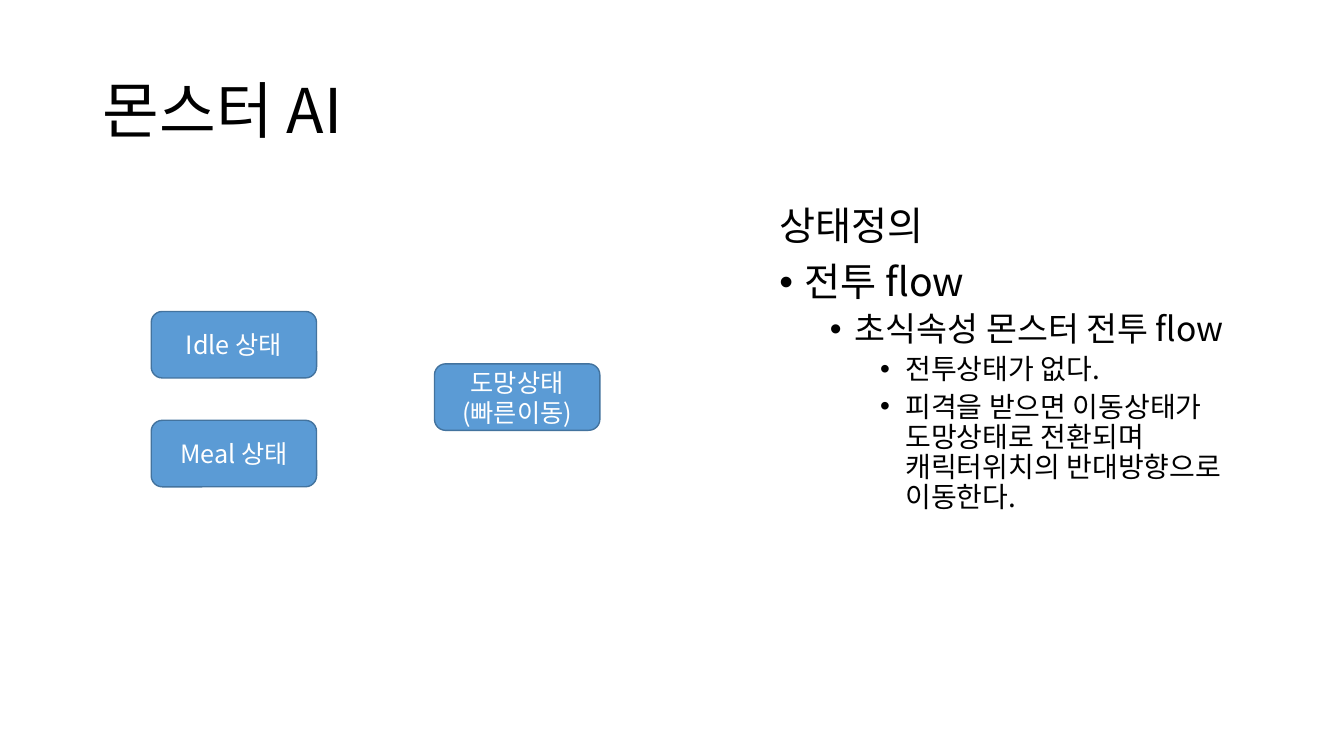
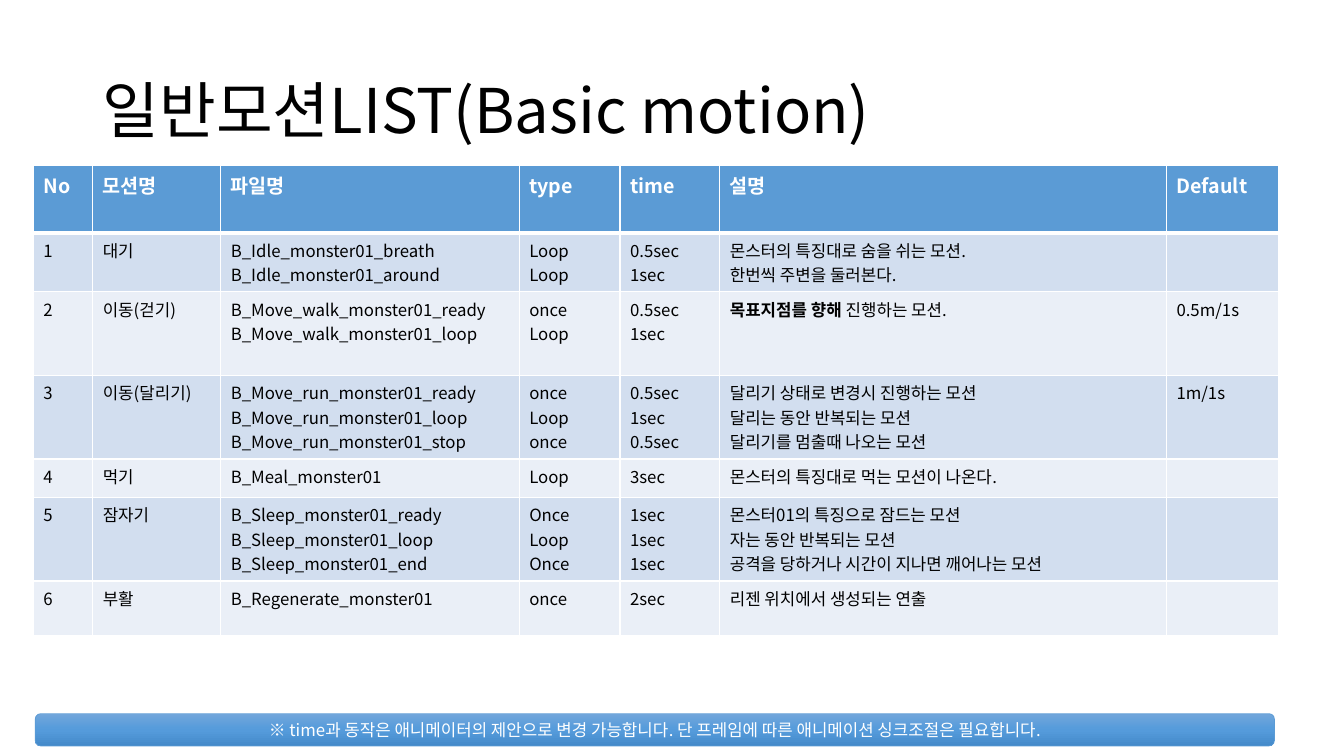
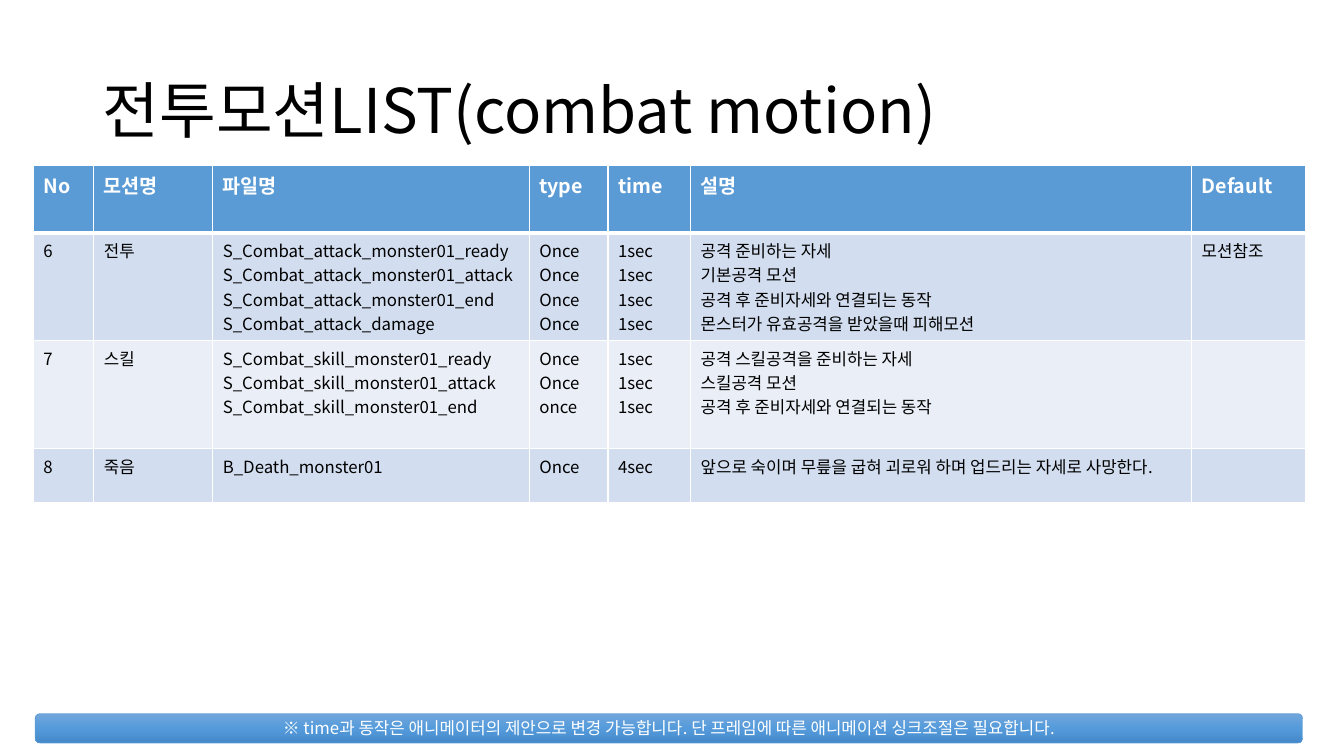
"""Build three slides on monster AI states and motion lists."""
from copy import deepcopy
from dataclasses import dataclass

from lxml import etree
from pptx import Presentation
from pptx.dml.color import RGBColor
from pptx.enum.shapes import MSO_SHAPE
from pptx.enum.text import MSO_ANCHOR, MSO_AUTO_SIZE, PP_ALIGN
from pptx.oxml.ns import qn
from pptx.util import Inches, Pt

LEFT, CENTER = PP_ALIGN.LEFT, PP_ALIGN.CENTER
TOP, MIDDLE = MSO_ANCHOR.TOP, MSO_ANCHOR.MIDDLE
NO_FIT = MSO_AUTO_SIZE.NONE
ROUNDED = MSO_SHAPE.ROUNDED_RECTANGLE

FONT = "Noto Sans CJK KR"
COLORS = {
    "text": "000000", "white": "FFFFFF", "blue": "5B9BD5", "edge": "43739E",
    "odd": "D2DEEF", "even": "EAEFF7",
}
GRADIENT = ((0, "71A6DB"), (0.5, "559BDB"), (1, "448ACA"))
CONTENT_LAYOUT, TITLE_LAYOUT = 1, 5
STATE_W, STATE_H = 1.64, 0.66
HEADER = ("No", "모션명", "파일명", "type", "time", "설명", "Default")
NOTICE = ("※ time과 동작은 애니메이터의 제안으로 변경 가능합니다. "
          "단 프레임에 따른 애니메이션 싱크조절은 필요합니다.")


@dataclass(frozen=True)
class State:
    text: str
    left: float
    top: float


@dataclass(frozen=True)
class Item:
    text: str
    level: int
    size: int
    before: int
    bullet: bool = True


@dataclass(frozen=True)
class MotionList:
    title: str
    widths: tuple
    heights: tuple
    rows: tuple
    notice_w: float
    notice_h: float


STATES = (
    State("Idle 상태", 1.5, 3.09),
    State("Meal 상태", 1.5, 4.17),
    State("도망상태\n(빠른이동)", 4.31, 3.61),
)
ITEMS = (
    Item("상태정의", 0, 28, 10, bullet=False),
    Item("전투 flow", 0, 28, 10),
    Item("초식속성 몬스터 전투 flow", 1, 24, 5),
    Item("전투상태가 없다.", 2, 20, 5),
    Item("피격을 받으면 이동상태가 도망상태로 전환되며 "
         "캐릭터위치의 반대방향으로 이동한다.", 2, 20, 5),
)
MOTION_LISTS = (
    MotionList(
        "일반모션LIST(Basic motion)",
        (0.59, 1.27, 2.96, 1, 0.99, 4.43, 1.11),
        (0.67, 0.58, 0.83, 0.83, 0.38, 0.83, 0.54),
        (
            ("1", "대기", "B_Idle_monster01_breath\nB_Idle_monster01_around",
             "Loop\nLoop", "0.5sec\n1sec",
             "몬스터의 특징대로 숨을 쉬는 모션.\n한번씩 주변을 둘러본다.", ""),
            ("2", "이동(걷기)",
             "B_Move_walk_monster01_ready\nB_Move_walk_monster01_loop",
             "once\nLoop", "0.5sec\n1sec",
             "**목표지점를 향해 **진행하는 모션.", "0.5m/1s"),
            ("3", "이동(달리기)",
             "B_Move_run_monster01_ready\nB_Move_run_monster01_loop\n"
             "B_Move_run_monster01_stop",
             "once\nLoop\nonce", "0.5sec\n1sec\n0.5sec",
             "달리기 상태로 변경시 진행하는 모션\n달리는 동안 반복되는 모션\n"
             "달리기를 멈출때 나오는 모션", "1m/1s"),
            ("4", "먹기", "B_Meal_monster01", "Loop", "3sec",
             "몬스터의 특징대로 먹는 모션이 나온다.", ""),
            ("5", "잠자기",
             "B_Sleep_monster01_ready\nB_Sleep_monster01_loop\n"
             "B_Sleep_monster01_end",
             "Once\nLoop\nOnce", "1sec\n1sec\n1sec",
             "몬스터01의 특징으로 잠드는 모션\n자는 동안 반복되는 모션\n"
             "공격을 당하거나 시간이 지나면 깨어나는 모션", ""),
            ("6", "부활", "B_Regenerate_monster01", "once", "2sec",
             "리젠 위치에서 생성되는 연출", ""),
        ),
        12.29, 0.32,
    ),
    MotionList(
        "전투모션LIST(combat motion)",
        (0.6, 1.18, 3.14, 0.78, 0.82, 4.97, 1.13),
        (0.67, 1.07, 1.07, 0.54),
        (
            ("6", "전투",
             "S_Combat_attack_monster01_ready\nS_Combat_attack_monster01_attack\n"
             "S_Combat_attack_monster01_end\nS_Combat_attack_damage",
             "Once\nOnce\nOnce\nOnce", "1sec\n1sec\n1sec\n1sec",
             "공격 준비하는 자세\n기본공격 모션\n공격 후 준비자세와 연결되는 동작\n"
             "몬스터가 유효공격을 받았을때 피해모션", "모션참조"),
            ("7", "스킬",
             "S_Combat_skill_monster01_ready\nS_Combat_skill_monster01_attack\n"
             "S_Combat_skill_monster01_end",
             "Once\nOnce\nonce", "1sec\n1sec\n1sec",
             "공격 스킬공격을 준비하는 자세\n스킬공격 모션\n"
             "공격 후 준비자세와 연결되는 동작", ""),
            ("8", "죽음", "B_Death_monster01", "Once", "4sec",
             "앞으로 숙이며 무릎을 굽혀 괴로워 하며 업드리는 자세로 사망한다.", ""),
        ),
        12.57, 0.29,
    ),
)


def rgb(name: str) -> RGBColor:
    return RGBColor.from_string(COLORS[name])


def write(tf, text: str, *, size: int, color: str = "text", bold: bool = False,
          align=LEFT, spacing: float = 1.0, before: int = 0, level: int = 0) -> list:
    paragraphs = []
    for line in text.split("\n"):
        p = tf.add_paragraph() if tf.text else tf.paragraphs[0]
        p.alignment, p.line_spacing, p.level = align, spacing, level
        p.space_before = Pt(before)
        for i, part in enumerate(line.split("**")):
            if part:
                r = p.add_run()
                r.text = part
                r.font.size, r.font.name = Pt(size), FONT
                r.font.bold = bold or i % 2 == 1
                r.font.color.rgb = rgb(color)
                ea = etree.SubElement(r.font._element, qn("a:ea"))
                ea.set("typeface", FONT)
        if not line:
            etree.SubElement(p._p, qn("a:endParaRPr")).set("sz", str(size * 100))
        paragraphs.append(p)
    return paragraphs


def place(sp, left: float, top: float, width: float, height: float, anchor) -> None:
    sp.left, sp.top = Inches(left), Inches(top)
    sp.width, sp.height = Inches(width), Inches(height)
    tf = sp.text_frame
    tf.word_wrap, tf.auto_size, tf.vertical_anchor = True, NO_FIT, anchor


def add_slide(prs, layout: int, title: str):
    s = prs.slides.add_slide(prs.slide_layouts[layout])
    place(s.shapes.title, 0.92, 0.4, 11.5, 1.45, MIDDLE)
    write(s.shapes.title.text_frame, title, size=44, spacing=0.9)
    return s


def add_box(s, left: float, top: float, width: float, height: float, text: str,
            size: int, edge: str, edge_pt: float):
    sp = s.shapes.add_shape(ROUNDED, 0, 0, 0, 0)
    place(sp, left, top, width, height, MIDDLE)
    sp.shadow.inherit = False
    sp.fill.solid()
    sp.fill.fore_color.rgb = rgb("blue")
    sp.line.color.rgb = rgb(edge)
    sp.line.width = Pt(edge_pt)
    write(sp.text_frame, text, size=size, color="white", align=CENTER)
    return sp


def add_notice(s, width: float, height: float) -> None:
    sp = add_box(s, 0.35, 7.08, width, height, NOTICE, 12, "blue", 0.5)
    sp.fill.gradient()
    sp.fill.gradient_angle = 270
    stops = sp._element.spPr.find(qn("a:gradFill")).find(qn("a:gsLst"))
    stops.append(deepcopy(stops[-1]))
    for stop, (position, color) in zip(sp.fill.gradient_stops, GRADIENT):
        stop.position = position
        stop.color.rgb = RGBColor.from_string(color)


def set_borders(cell, top: int, bottom: int) -> None:
    tcPr = cell._tc.get_or_add_tcPr()
    sides = (("a:lnL", 1), ("a:lnR", 1), ("a:lnT", top), ("a:lnB", bottom))
    for i, (tag, width) in enumerate(sides):
        ln = etree.Element(qn(tag), w=str(Pt(width)))
        fill = etree.SubElement(ln, qn("a:solidFill"))
        etree.SubElement(fill, qn("a:srgbClr"), val=COLORS["white"])
        tcPr.insert(i, ln)


def add_motion_table(s, motions: MotionList) -> None:
    rows = (HEADER, *motions.rows)
    table = s.shapes.add_table(
        len(rows), len(HEADER), Inches(0.33), Inches(1.64),
        Inches(sum(motions.widths)), Inches(sum(motions.heights))).table
    for column, width in zip(table.columns, motions.widths):
        column.width = Inches(width)
    for i, (row, height) in enumerate(zip(rows, motions.heights)):
        table.rows[i].height = Inches(height)
        head = i == 0
        fill = "blue" if head else "odd" if i % 2 else "even"
        for j, text in enumerate(row):
            cell = table.cell(i, j)
            cell.vertical_anchor = TOP
            cell.fill.solid()
            cell.fill.fore_color.rgb = rgb(fill)
            set_borders(cell, 3 if i == 1 else 1, 3 if head else 1)
            write(cell.text_frame, text, size=14 if head else 12,
                  color="white" if head else "text", bold=head)


def add_state_list(s) -> None:
    body = s.placeholders[1]
    place(body, 7.63, 2, 5.28, 4.76, TOP)
    for item in ITEMS:
        p, = write(body.text_frame, item.text, size=item.size, spacing=0.9,
                   before=item.before, level=item.level)
        pPr = p._p.get_or_add_pPr()
        margin = 0.25 + 0.5 * item.level if item.bullet else 0
        pPr.set("marL", str(Inches(margin)))
        pPr.set("indent", str(Inches(-0.25 if item.bullet else 0)))
        if item.bullet:
            etree.SubElement(pPr, qn("a:buFont"), typeface="Arial")
            etree.SubElement(pPr, qn("a:buChar"), char="•")
        else:
            etree.SubElement(pPr, qn("a:buNone"))


def main() -> None:
    prs = Presentation()
    prs.slide_width, prs.slide_height = Inches(13.33), Inches(7.5)

    s = add_slide(prs, CONTENT_LAYOUT, "몬스터 AI")
    add_state_list(s)
    for state in STATES:
        add_box(s, state.left, state.top, STATE_W, STATE_H, state.text, 18, "edge", 1)

    for motions in MOTION_LISTS:
        s = add_slide(prs, TITLE_LAYOUT, motions.title)
        add_motion_table(s, motions)
        add_notice(s, motions.notice_w, motions.notice_h)

    prs.save("out.pptx")


if __name__ == "__main__":
    main()
